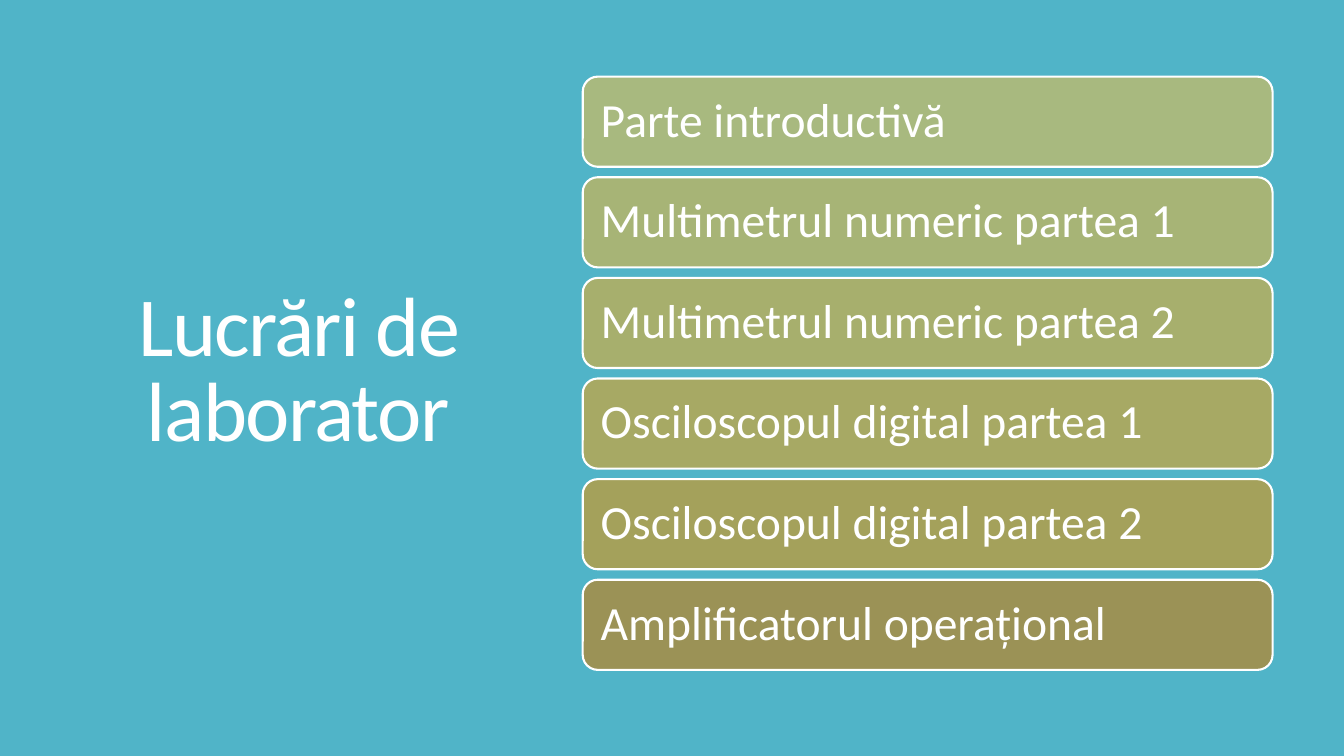
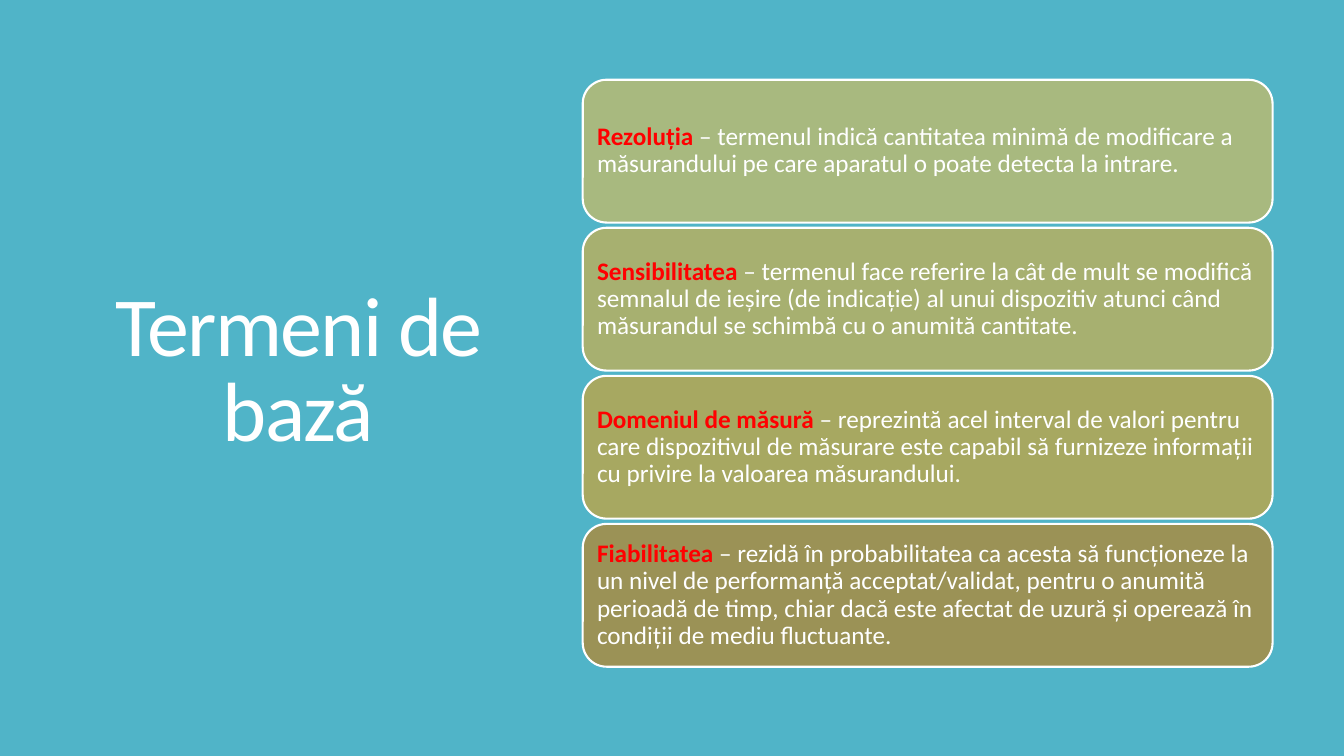
from pptx import Presentation
from pptx.dml.color import RGBColor
from pptx.enum.shapes import MSO_SHAPE as Shape
from pptx.enum.text import MSO_ANCHOR as Anchor, MSO_AUTO_SIZE as Fit, PP_ALIGN as Align
from pptx.util import Pt

PX = 9525
FONT = "Calibri"
TEAL = RGBColor(0x50, 0xB4, 0xC8)
WHITE = RGBColor(0xFF, 0xFF, 0xFF)
RED = RGBColor(0xFF, 0x00, 0x00)
SAGE = RGBColor(0xA8, 0xB9, 0x7F)
FERN = RGBColor(0xA7, 0xB4, 0x76)
MOSS = RGBColor(0xA7, 0xB0, 0x70)
LEAF = RGBColor(0xA7, 0xAF, 0x6D)
OLIVE = RGBColor(0xA7, 0xA9, 0x64)
KHAKI = RGBColor(0xA7, 0xA8, 0x61)
SAND = RGBColor(0xA4, 0xA1, 0x5B)
EARTH = RGBColor(0x9B, 0x92, 0x56)

TITLE = (74, 67, 420, 577)
LABS = [
    (SAGE, "", "Parte introductivă"),
    (FERN, "", "Multimetrul numeric partea 1"),
    (LEAF, "", "Multimetrul numeric partea 2"),
    (OLIVE, "", "Osciloscopul digital partea 1"),
    (SAND, "", "Osciloscopul digital partea 2"),
    (EARTH, "", "Amplificatorul operațional"),
]
TERMS = [
    (SAGE, "Rezoluția", " – termenul indică cantitatea minimă de modificare a "
     "măsurandului pe care aparatul o poate detecta la intrare."),
    (MOSS, "Sensibilitatea", " – termenul face referire la cât de mult se modifică "
     "semnalul de ieșire (de indicație) al unui dispozitiv atunci când "
     "măsurandul se schimbă cu o anumită cantitate."),
    (KHAKI, "Domeniul de măsură ", "– reprezintă acel interval de valori pentru "
     "care dispozitivul de măsurare este capabil să furnizeze informații "
     "cu privire la valoarea măsurandului."),
    (EARTH, "Fiabilitatea", " – rezidă în probabilitatea ca acesta să funcționeze la "
     "un nivel de performanță acceptat/validat, pentru o anumită "
     "perioadă de timp, chiar dacă este afectat de uzură și operează în "
     "condiții de mediu fluctuante."),
]


def style(run, size, color, bold=False):
    """Format one run of text."""
    font = run.font
    font.name, font.size, font.bold = FONT, Pt(size), bold
    font.color.rgb = color


def head(slide, text, box):
    """Place the slide title in its box."""
    title = slide.shapes.title
    title.left, title.top, title.width, title.height = (n * PX for n in box)
    frame = title.text_frame
    frame.text = text
    frame.word_wrap, frame.auto_size = True, Fit.NONE
    frame.vertical_anchor = Anchor.MIDDLE
    para = frame.paragraphs[0]
    para.alignment, para.line_spacing = Align.CENTER, 0.85
    run = para.runs[0]
    style(run, 60, WHITE)
    run.font._element.set("spc", "-120")


def card(slide, box, entry, size, inset):
    """Draw one rounded card with an optional leading term."""
    color, term, text = entry
    shape = slide.shapes.add_shape(Shape.ROUNDED_RECTANGLE, *box)
    shape.shadow.inherit = False
    shape.fill.solid()
    shape.fill.fore_color.rgb = color
    shape.line.color.rgb = WHITE
    shape.line.width = Pt(1.5)
    frame = shape.text_frame
    frame.word_wrap, frame.vertical_anchor = True, Anchor.MIDDLE
    frame.margin_left = frame.margin_right = inset * PX
    frame.margin_top = frame.margin_bottom = inset * PX
    para = frame.paragraphs[0]
    para.alignment, para.line_spacing = Align.LEFT, 0.9
    for part, ink, bold in ((term, RED, True), (text, WHITE, False)):
        if part:
            run = para.add_run()
            run.text = part
            style(run, size, ink, bold)


def stack(slide, box, items, gap, size, inset):
    """Fill the box with equal cards from top to bottom."""
    left, top, width, height = (n * PX for n in box)
    pitch = (height + gap * PX) // len(items)
    for i, entry in enumerate(items):
        place = (left, top + i * pitch, width, pitch - gap * PX)
        card(slide, place, entry, size, inset)


def page(deck, title, box, items, gap, size, inset):
    """Add a slide with a title beside a stack of cards."""
    slide = deck.slides.add_slide(deck.slide_layouts[5])
    head(slide, title, TITLE)
    stack(slide, box, items, gap, size, inset)


def main():
    """Build and save the deck."""
    deck = Presentation()
    deck.slide_width, deck.slide_height = 1280 * PX, 720 * PX
    fill = deck.slide_master.background.fill
    fill.solid()
    fill.fore_color.rgb = TEAL
    page(deck, "Lucrări de laborator", (555, 73, 657, 565), LABS, 10, 34, 13)
    page(deck, "Termeni de bază", (555, 76, 657, 559), TERMS, 5, 18, 7)
    deck.save("out.pptx")


if __name__ == "__main__":
    main()
